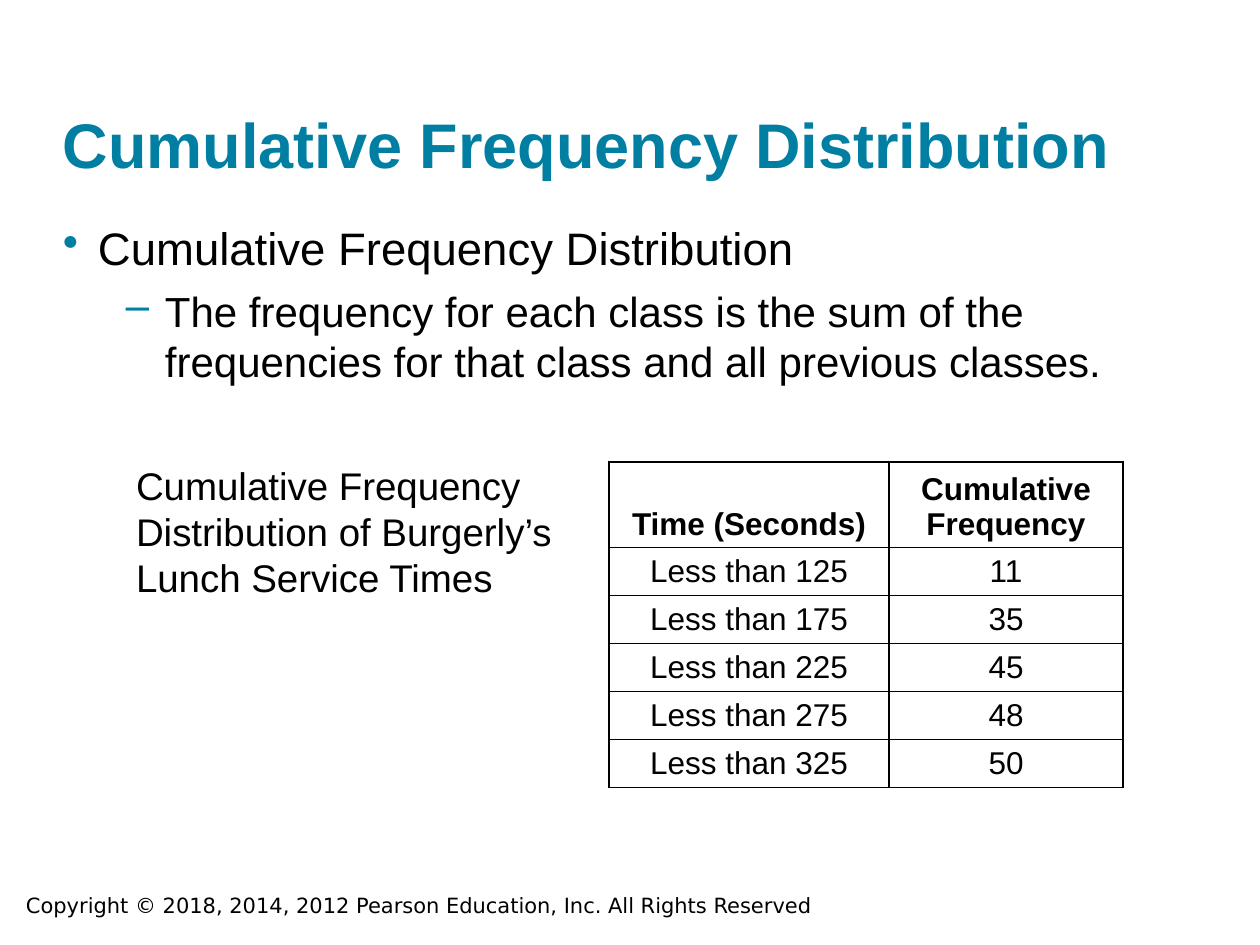
from lxml import etree
from pptx import Presentation
from pptx.dml.color import RGBColor
from pptx.enum.text import MSO_ANCHOR, PP_ALIGN
from pptx.oxml import parse_xml
from pptx.oxml.ns import nsdecls, qn
from pptx.util import Emu, Pt

TOP, MIDDLE, BOTTOM = MSO_ANCHOR.TOP, MSO_ANCHOR.MIDDLE, MSO_ANCHOR.BOTTOM
CENTER = PP_ALIGN.CENTER
SCALE = 914400 / 126
TEAL, BLACK = "007FA3", "000000"


def px(length):
    return Emu(round(length * SCALE))


def add_run(paragraph, text, size, color=BLACK, bold=False, font="Arial"):
    run = paragraph.add_run()
    run.text = text
    run.font.size = Pt(size)
    run.font.name = font
    run.font.bold = bold
    run.font.color.rgb = RGBColor.from_string(color)


prs = Presentation()
prs.slide_width, prs.slide_height = px(1260), px(945)
slide = prs.slides.add_slide(prs.slide_layouts[6])

frames = []
for left, top, width, height, inset_x, inset_y, anchor in [
    (63, 30, 1134, 151, 0, 0, BOTTOM),
    (63, 220, 1134, 179, 0, 0, TOP),
    (136, 462, 462, 158, 0, 0, TOP),
    (13, 887, 987, 38, 13, 6, TOP),
]:
    frame = slide.shapes.add_textbox(px(left), px(top), px(width), px(height)).text_frame
    frame.word_wrap = True
    frame.vertical_anchor = anchor
    frame.margin_left = frame.margin_right = px(inset_x)
    frame.margin_top = frame.margin_bottom = px(inset_y)
    frames.append(frame)
title, body, caption, copyright_line = frames

add_run(title.paragraphs[0], "Cumulative Frequency Distribution", 36, TEAL, True)
add_run(caption.paragraphs[0],
        "Cumulative Frequency Distribution of Burgerly’s Lunch Service Times", 22)
add_run(copyright_line.paragraphs[0],
        "Copyright © 2018, 2014, 2012 Pearson Education, Inc. All Rights Reserved",
        12, font="DejaVu Sans")

term = body.paragraphs[0]
definition = body.add_paragraph()
definition.level = 1
definition.space_before = Pt(6)
for paragraph, indent, hang, bullet, size, text in [
    (term, 35, 35, "•", 26, "Cumulative Frequency Distribution"),
    (definition, 102, 39, "–", 24,
     "The frequency for each class is the sum of the frequencies "
     "for that class and all previous classes."),
]:
    properties = paragraph._p.get_or_add_pPr()
    properties.set("marL", str(px(indent)))
    properties.set("indent", str(-px(hang)))
    bullet_color = etree.SubElement(properties, qn("a:buClr"))
    etree.SubElement(bullet_color, qn("a:srgbClr")).set("val", TEAL)
    etree.SubElement(properties, qn("a:buChar")).set("char", bullet)
    add_run(paragraph, text, size)

frequencies = [
    ("Time (Seconds)", "Cumulative Frequency"),
    ("Less than 125", "11"),
    ("Less than 175", "35"),
    ("Less than 225", "45"),
    ("Less than 275", "48"),
    ("Less than 325", "50"),
]
table = slide.shapes.add_table(
    len(frequencies), 2, px(609), px(462), px(514), px(323)).table
table.first_row = table.horz_banding = False
for column, width in zip(table.columns, (280, 234)):
    column.width = px(width)

for r, entries in enumerate(frequencies):
    header = r == 0
    table.rows[r].height = px(83 if header else 48)
    for c, entry in enumerate(entries):
        cell = table.cell(r, c)
        cell.margin_top = cell.margin_bottom = px(5)
        cell.vertical_anchor = BOTTOM if header else MIDDLE
        for side in ("lnL", "lnR", "lnT", "lnB"):
            cell._tc.get_or_add_tcPr().append(parse_xml(
                f'<a:{side} {nsdecls("a")} w="12700"><a:solidFill>'
                f'<a:srgbClr val="{BLACK}"/></a:solidFill></a:{side}>'))
        cell.fill.background()
        paragraph = cell.text_frame.paragraphs[0]
        paragraph.alignment = CENTER
        add_run(paragraph, entry, 18, bold=header)

prs.save("out.pptx")
